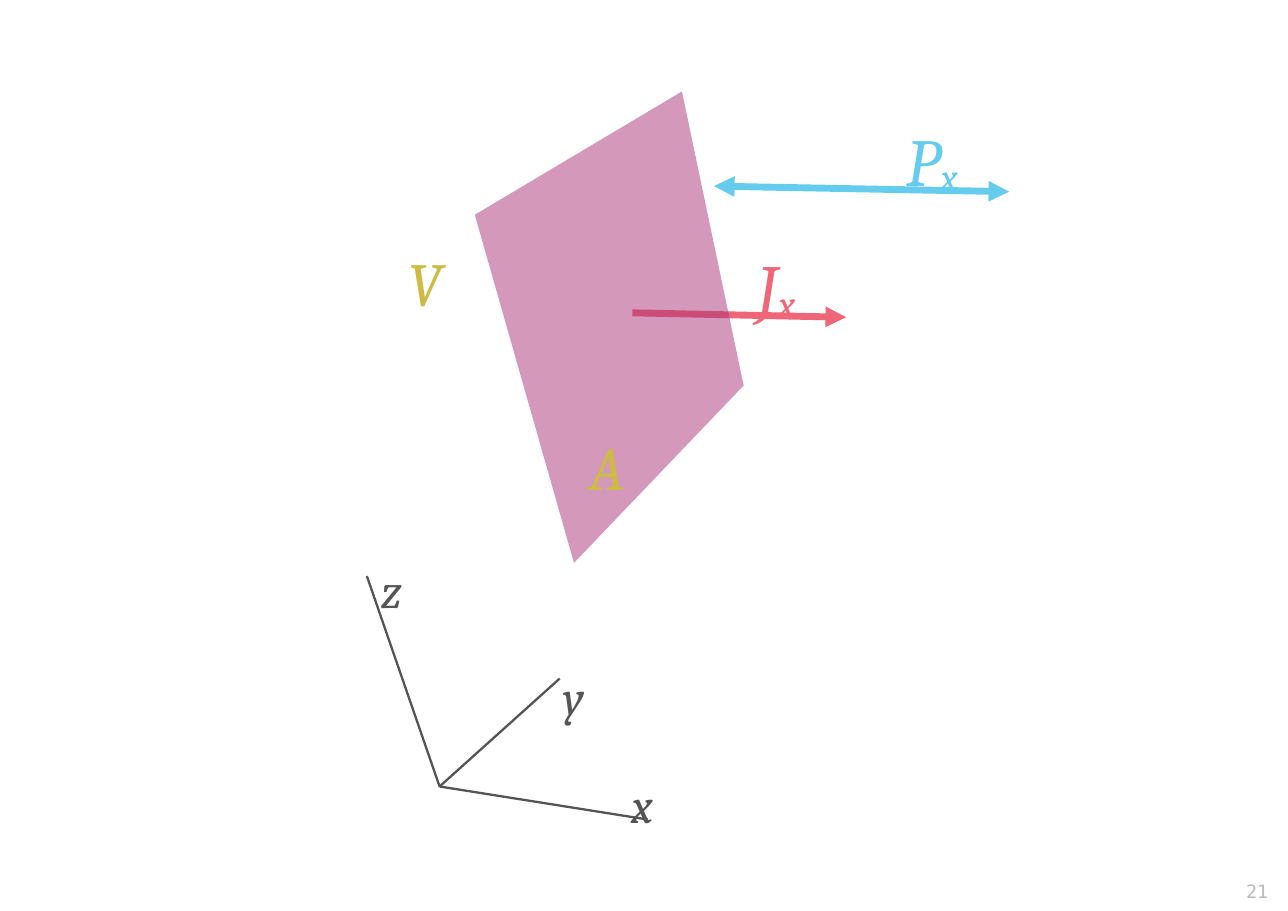
"""Build a slide showing flow and pressure through a plane in a 3D axis system."""
from dataclasses import dataclass

from pptx import Presentation
from pptx.dml.color import RGBColor as RGB
from pptx.enum.shapes import MSO_CONNECTOR as CONN
from pptx.enum.text import MSO_AUTO_SIZE as AUTO, PP_ALIGN as ALIGN
from pptx.oxml.ns import qn
from pptx.util import Inches, Pt
from lxml.etree import SubElement


@dataclass(frozen=True)
class Theme:
    grey: str = "555555"
    pale: str = "BBBBBB"
    cyan: str = "66CCEE"
    red: str = "EE6677"
    purple: str = "AA3377"
    yellow: str = "CCBB44"
    math_font: str = "Cambria"
    mono_font: str = "DejaVu Sans Mono"
    number_size: int = 12
    axis_size: int = 32
    name_size: int = 40
    vector_size: int = 44
    axis_width: float = 1.5
    vector_width: float = 4.5


THEME = Theme()


def add_label(slide, box, text, size, color, sub="", font=THEME.math_font,
              italic=True, align=ALIGN.LEFT, wrap=False):
    tf = slide.shapes.add_textbox(*map(Inches, box)).text_frame
    tf.word_wrap = wrap
    tf.auto_size = AUTO.SHAPE_TO_FIT_TEXT
    p = tf.paragraphs[0]
    p.alignment = align
    for part in filter(None, (text, sub)):
        r = p.add_run()
        r.text = part
        r.font.name = font
        r.font.size = Pt(size)
        r.font.italic = italic
        r.font.color.rgb = RGB.from_string(color)
    if sub:
        r._r.get_or_add_rPr().set("baseline", "-8000")


def add_line(slide, start, end, color, width, arrows=()):
    line = slide.shapes.add_connector(CONN.STRAIGHT, *map(Inches, start + end))
    line.line.color.rgb = RGB.from_string(color)
    line.line.width = Pt(width)
    ln = line.line._get_or_add_ln()
    for arrow in arrows:
        SubElement(ln, qn(f"a:{arrow}"), type="triangle")
    SubElement(line._element.spPr, qn("a:effectLst"))


def add_plane(slide, points, color, alpha):
    corners = [tuple(map(Inches, point)) for point in points]
    builder = slide.shapes.build_freeform(*corners[0])
    builder.add_line_segments(corners[1:], close=True)
    sp = builder.convert_to_shape()
    sp.shadow.inherit = False
    sp.line.fill.background()
    sp.fill.solid()
    sp.fill.fore_color.rgb = RGB.from_string(color)
    clr = sp._element.spPr.find(qn("a:solidFill"))[0]
    SubElement(clr, qn("a:alpha"), val=str(alpha * 1000))


def add_axes(slide, origin):
    axes = (("z", (3.33, 5.23), (3.36, 5.03)),
            ("x", (5.88, 7.44), (5.63, 6.98)),
            ("y", (5.08, 6.16), (5.01, 6)))
    for _, tip, _ in axes:
        add_line(slide, origin, tip, THEME.grey, THEME.axis_width)
    for name, _, corner in axes:
        add_label(slide, corner + (0.27, 0.7), name, THEME.axis_size,
                  THEME.grey, wrap=True)


def add_vector(slide, name, box, start, end, color, arrows):
    add_label(slide, box, name, THEME.vector_size, color, sub="x")
    add_line(slide, start, end, color, THEME.vector_width, arrows)


def main():
    prs = Presentation()
    prs.slide_width, prs.slide_height = Inches(11.69), Inches(8.27)
    slide = prs.slides.add_slide(prs.slide_layouts[6])
    add_label(slide, (10.61, 7.94, 1, 0.29), "21", THEME.number_size, THEME.pale,
              font=THEME.mono_font, italic=False, align=ALIGN.RIGHT)
    add_axes(slide, (3.99, 7.14))
    add_vector(slide, "P", (8.13, 1.03, 0.75, 0.93), (6.48, 1.69), (9.16, 1.74),
               THEME.cyan, ("headEnd", "tailEnd"))
    add_vector(slide, "J", (6.78, 2.18, 0.58, 0.93), (5.74, 2.84), (7.68, 2.88),
               THEME.red, ("tailEnd",))
    add_plane(slide, ((6.19, 0.83), (4.31, 1.95), (5.21, 5.11), (6.75, 3.5)),
              THEME.purple, 50)
    for name, left, top in (("V", 3.51, 2.18), ("A", 5.17, 3.85)):
        add_label(slide, (left, top, 0.6, 0.86), name, THEME.name_size,
                  THEME.yellow, align=ALIGN.RIGHT)
    prs.save("out.pptx")


if __name__ == "__main__":
    main()
